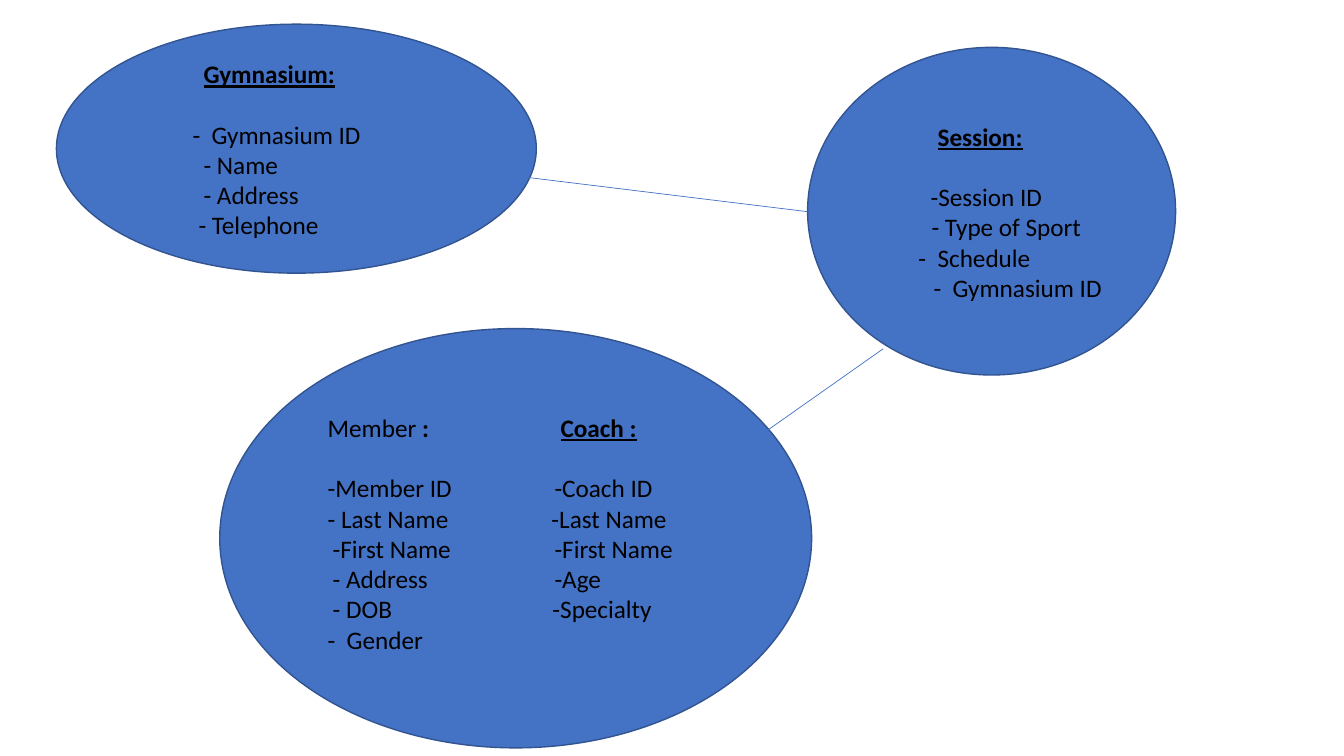
from lxml.etree import SubElement
from pptx import Presentation
from pptx.dml.color import RGBColor
from pptx.enum.shapes import MSO_CONNECTOR as Connector, MSO_SHAPE as Shape
from pptx.oxml.ns import qn
from pptx.util import Inches, Pt

FILL, OUTLINE, TEXT = "4472C4", "325491", "000000"

# Each line is (indent in inches, text)
GYMNASIUM = [(0, "-  Gymnasium ID"), (0.11, "- Name"), (0.11, "- Address"),
             (0.06, "- Telephone")]
SESSION = [(0.12, "-Session ID"), (0.13, "- Type of Sport"), (0, "-  Schedule"),
           (0.15, "-  Gymnasium ID")]
MEMBER = [(0, "-Member ID"), (0, "- Last Name"), (0.05, "-First Name"),
          (0.05, "- Address"), (0.05, "- DOB"), (0, "-  Gender")]
COACH = [(0.03, "-Coach ID"), (0, "-Last Name"), (0.03, "-First Name"),
         (0.03, "-Age"), (0.01, "-Specialty")]


def color(hex_string):
    return RGBColor.from_string(hex_string)


def add_run(paragraph, text, bold=False, underline=False, size=18):
    run = paragraph.add_run()
    run.text = text
    font = run.font
    font.name, font.size, font.bold, font.underline = "Calibri", Pt(size), bold, underline
    font.color.rgb = color(TEXT)


def indent(paragraph, inches):
    properties = paragraph._p.get_or_add_pPr()
    properties.set("marL", str(Inches(inches)))
    properties.set("indent", "0")


def add_entity(slide, left, top, width, height):
    """Draw the ellipse that holds one or more attribute lists."""
    ellipse = slide.shapes.add_shape(
        Shape.OVAL, Inches(left), Inches(top), Inches(width), Inches(height))
    ellipse.shadow.inherit = False
    ellipse.fill.solid()
    ellipse.fill.fore_color.rgb = color(FILL)
    ellipse.line.color.rgb = color(OUTLINE)
    ellipse.line.width = Pt(1)


def add_attributes(slide, left, top, width, heading, heading_indent, lines):
    """Write a heading, made of (text, format) runs, above its attributes."""
    box = slide.shapes.add_textbox(
        Inches(left), Inches(top), Inches(width), Inches(0.3 * (len(lines) + 2)))
    frame = box.text_frame
    frame.word_wrap = True
    frame.margin_left = frame.margin_right = frame.margin_top = frame.margin_bottom = 0
    title = frame.paragraphs[0]
    title.space_after = Pt(21.6)
    indent(title, heading_indent)
    for text, text_format in heading:
        add_run(title, text, **text_format)
    for line_indent, text in lines:
        paragraph = frame.add_paragraph()
        indent(paragraph, line_indent)
        add_run(paragraph, text)


def add_link(slide, start, end):
    link = slide.shapes.add_connector(
        Connector.STRAIGHT, *(Inches(value) for value in start + end))
    link.line.color.rgb = color(FILL)
    link.line.width = Pt(0.5)
    SubElement(link._element.spPr, qn("a:effectLst"))


def build_slide(slide):
    strong = {"bold": True, "underline": True}

    # Gymnasium
    add_entity(slide, 0.56, 0.24, 4.76, 2.47)
    add_attributes(slide, 1.91, 0.58, 2.4, [("Gymnasium:", strong)], 0.11, GYMNASIUM)

    # Session
    add_entity(slide, 8.01, 0.47, 3.65, 3.25)
    add_attributes(slide, 9.11, 1.2, 2.2, [("Session:", strong)], 0.19, SESSION)

    # Member and coach share one ellipse
    add_entity(slide, 2.18, 3.26, 5.87, 4.16)
    add_attributes(slide, 3.25, 4.09, 2, [("Member", {}), (" :", {"bold": True})], 0, MEMBER)
    add_attributes(slide, 5.47, 4.09, 2, [("Coach :", strong)], 0.09, COACH)

    # Links between the entities
    add_link(slide, (5.23, 1.76), (8.01, 2.1))
    add_link(slide, (8.76, 3.46), (7.27, 4.51))


def main():
    presentation = Presentation()
    presentation.slide_width, presentation.slide_height = Inches(13.33), Inches(7.5)
    build_slide(presentation.slides.add_slide(presentation.slide_layouts[6]))
    presentation.save("out.pptx")


if __name__ == "__main__":
    main()
